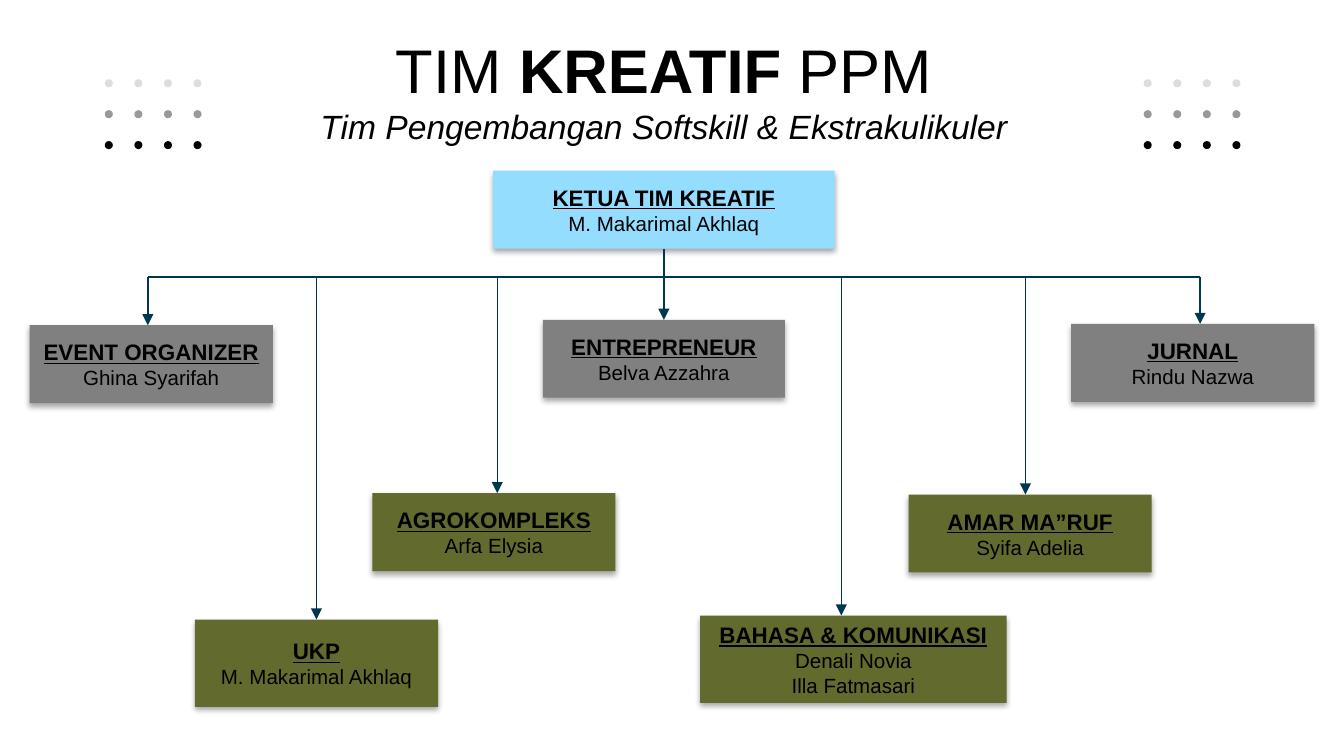
from lxml.etree import SubElement
from pptx import Presentation
from pptx.dml.color import RGBColor
from pptx.enum.shapes import MSO_CONNECTOR, MSO_SHAPE
from pptx.enum.text import MSO_ANCHOR, PP_ALIGN
from pptx.oxml.ns import qn
from pptx.util import Inches, Pt

BLACK = RGBColor(0x00, 0x00, 0x00)
SKY = RGBColor(0x94, 0xDD, 0xFF)
GRAY = RGBColor(0x80, 0x80, 0x80)
OLIVE = RGBColor(0x62, 0x6A, 0x2E)
NAVY = RGBColor(0x00, 0x37, 0x50)
SHADES = [RGBColor(0xDD, 0xDD, 0xDD), RGBColor(0x99, 0x99, 0x99), BLACK]

BODY = {"name": "Arial", "size": Pt(11)}
ROLE = {"name": "Arial", "size": Pt(12), "bold": True, "underline": True}
HEAD = {"name": "Arial", "size": Pt(33)}
BOLD = {**HEAD, "bold": True}
SUB = {"name": "Arial", "size": Pt(18), "italic": True}
BREAK = ("\n", None)

TITLE = [[
    ("TIM ", HEAD), ("KREATIF", BOLD), (" PPM", HEAD), BREAK,
    ("Tim Pengembangan Softskill & Ekstrakulikuler", SUB),
]]
CHIEF = ("KETUA TIM KREATIF", ["M. Makarimal Akhlaq"], SKY, (3.67, 1.27, 2.54, 0.58))
MIDDLE = ("ENTREPRENEUR", ["Belva Azzahra"], GRAY, (4.04, 2.38, 1.80, 0.58))
# role, names, fill, (left, top, width, height), x of the arrow from the bar
TEAMS = [
    ("EVENT ORGANIZER", ["Ghina Syarifah"], GRAY, (0.22, 2.42, 1.81, 0.58), 1.10),
    ("JURNAL", ["Rindu Nazwa"], GRAY, (7.97, 2.41, 1.81, 0.58), 8.93),
    ("AGROKOMPLEKS", ["Arfa Elysia"], OLIVE, (2.77, 3.67, 1.81, 0.58), 3.70),
    ("UKP", ["M. Makarimal Akhlaq"], OLIVE, (1.45, 4.61, 1.81, 0.65), 2.36),
    ("BAHASA & KOMUNIKASI", ["Denali Novia", "Illa Fatmasari"], OLIVE,
     (5.21, 4.58, 2.28, 0.65), 6.26),
    ("AMAR MA”RUF", ["Syifa Adelia"], OLIVE, (6.76, 3.68, 1.81, 0.58), 7.63),
]
BAR = 2.06
DOT, COLS, STEP_X, STEP_Y, DOT_TOP = 0.06, 4, 0.22, 0.23, 0.59
DOT_LEFTS = [0.78, 8.51]

deck = Presentation()
deck.slide_width = Inches(10)
deck.slide_height = deck.slide_width * 9 // 16
slide = deck.slides.add_slide(deck.slide_layouts[6])


def write(frame, lines):
    frame.word_wrap = True
    for i, line in enumerate(lines):
        para = frame.paragraphs[0] if i == 0 else frame.add_paragraph()
        para.alignment = PP_ALIGN.CENTER
        for text, style in line:
            if style is None:
                para.add_line_break()
                continue
            run = para.add_run()
            run.text = text
            run.font.color.rgb = BLACK
            for key, value in style.items():
                setattr(run.font, key, value)


def add_flat(shapes, kind, place, color):
    """Add a filled shape with no outline and no shadow."""
    shape = shapes.add_shape(kind, *map(Inches, place))
    shape.fill.solid()
    shape.fill.fore_color.rgb = color
    shape.line.fill.background()
    shape.shadow.inherit = False
    return shape


def add_card(role, names, color, place):
    card = add_flat(slide.shapes, MSO_SHAPE.RECTANGLE, place, color)
    effects = card.element.spPr.find(qn("a:effectLst"))
    shadow = SubElement(effects, qn("a:outerShdw"), blurRad=str(Pt(3.1)),
                        dist=str(Pt(1.8)), dir="5400000", rotWithShape="0")
    tint = SubElement(shadow, qn("a:srgbClr"), val="000000")
    SubElement(tint, qn("a:alpha"), val="35000")
    frame = card.text_frame
    frame.vertical_anchor = MSO_ANCHOR.MIDDLE
    frame.margin_left = frame.margin_right = Inches(0.05)
    write(frame, [[(role, ROLE)]] + [[(name, BODY)] for name in names])
    return card


def add_line(x1, y1, x2, y2, arrow=True):
    line = slide.shapes.add_connector(
        MSO_CONNECTOR.STRAIGHT, *map(Inches, (x1, y1, x2, y2)))
    line.line.color.rgb = NAVY
    line.line.width = Pt(0.75)
    props = line.element.spPr
    if arrow:
        SubElement(props.find(qn("a:ln")), qn("a:tailEnd"), type="triangle")
    SubElement(props, qn("a:effectLst"))
    return line


title = slide.shapes.add_textbox(*map(Inches, (0.72, 0.24, 8.44, 0.86)))
title.text_frame.margin_top = 0
write(title.text_frame, TITLE)

for left in DOT_LEFTS:
    dots = slide.shapes.add_group_shape()
    for row, shade in enumerate(SHADES):
        for col in range(COLS):
            spot = (left + col * STEP_X, DOT_TOP + row * STEP_Y, DOT, DOT)
            add_flat(dots.shapes, MSO_SHAPE.OVAL, spot, shade)

chief = add_card(*CHIEF)
middle = add_card(*MIDDLE)
trunk = add_line(4.94, 1.85, 4.94, 2.38)
trunk.begin_connect(chief, 2)
trunk.end_connect(middle, 0)

drops = [team[-1] for team in TEAMS]
add_line(min(drops), BAR, max(drops), BAR, arrow=False)
for *team, x in TEAMS:
    card = add_card(*team)
    left, top, width, _ = team[-1]
    center = left + width / 2
    joined = abs(center - x) < 0.01
    if joined:
        x = center
    drop = add_line(x, BAR, x, top)
    if joined:
        drop.end_connect(card, 0)

deck.save("out.pptx")
